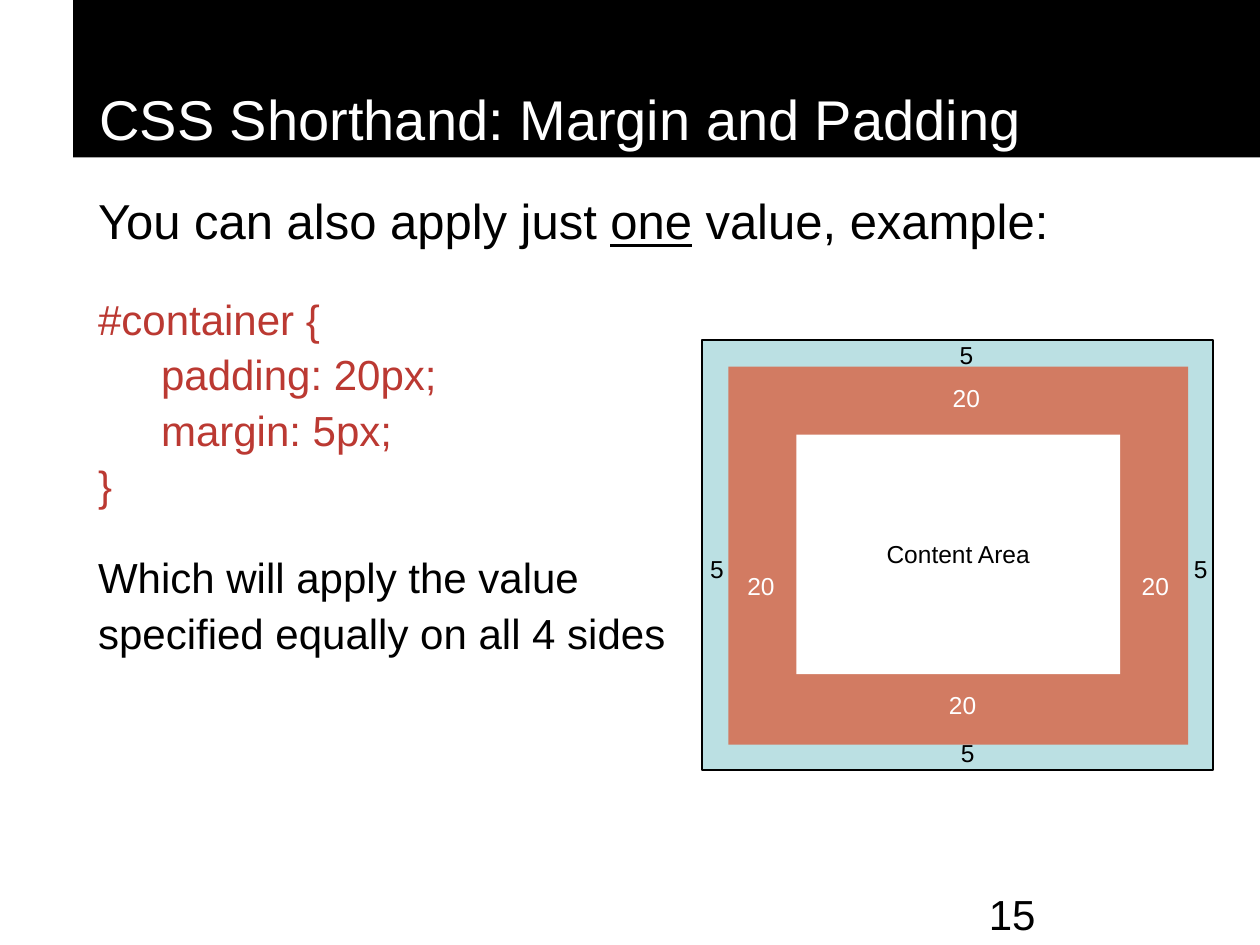
from lxml import etree
from pptx import Presentation
from pptx.dml.color import RGBColor
from pptx.enum.shapes import MSO_SHAPE
from pptx.enum.text import MSO_ANCHOR, PP_ALIGN
from pptx.oxml.ns import qn
from pptx.util import Inches, Pt

RECTANGLE = MSO_SHAPE.RECTANGLE
TOP, BOTTOM = MSO_ANCHOR.TOP, MSO_ANCHOR.BOTTOM
LEFT, CENTER = PP_ALIGN.LEFT, PP_ALIGN.CENTER

BLACK = RGBColor(0x00, 0x00, 0x00)
WHITE = RGBColor(0xFF, 0xFF, 0xFF)
CODE_RED = RGBColor(0xBB, 0x39, 0x32)
MARGIN_BLUE = RGBColor(0xBB, 0xE0, 0xE3)
PADDING_ORANGE = RGBColor(0xD2, 0x7B, 0x62)

# Content
TITLE = "CSS Shorthand: Margin and Padding"
PAGE_NUMBER = "15"
INTRO = [("You can also apply just ", False), ("one", True),
         (" value, example:", False)]
CODE = "#container {\n\tpadding: 20px;\n\tmargin: 5px;\n}"
RESULT = "Which will apply the value \nspecified equally on all 4 sides"

# Box model, outermost first: left, top, width, height, fill, outline
BOXES = [
    (5.57, 2.7, 4.06, 3.41, MARGIN_BLUE, BLACK),
    (5.78, 2.91, 3.65, 3, PADDING_ORANGE, None),
    (6.32, 3.45, 2.57, 1.9, WHITE, None),
]

# Side values: text, colour, left and top of each label
SIDE_VALUES = [
    ("5", BLACK, [(7.2, 2.65), (9.06, 4.35), (7.21, 5.81), (5.22, 4.35)]),
    ("20", WHITE, [(7.2, 2.99), (8.7, 4.48), (7.17, 5.43), (5.57, 4.48)]),
]
LABEL_WIDTH, LABEL_HEIGHT, LABEL_SIZE = 0.94, 0.34, 14


def add_text(frame, text, size, color, align=LEFT, indent=0, line_spacing=None,
             before=0, after=0, tab=None):
    """Add a paragraph; text is a string or a list of (string, underlined)."""
    first = frame.paragraphs[0]
    paragraph = frame.add_paragraph() if first.runs else first
    paragraph.alignment = align
    paragraph.line_spacing = line_spacing
    paragraph.space_before, paragraph.space_after = Pt(before), Pt(after)
    properties = paragraph._p.get_or_add_pPr()
    properties.set("marL", str(Inches(indent)))
    properties.set("indent", "0")
    if tab:
        tabs = etree.SubElement(properties, qn("a:tabLst"))
        etree.SubElement(tabs, qn("a:tab"), pos=str(Inches(tab)), algn="l")
    pieces = [(text, False)] if isinstance(text, str) else text
    for piece, underlined in pieces:
        for number, line in enumerate(piece.split("\n")):
            if number:
                paragraph.add_line_break()
            run = paragraph.add_run()
            run.text = line
            run.font.name, run.font.size = "Arial", Pt(size)
            run.font.color.rgb = color
            run.font.underline = underlined


def add_rectangle(slide, left, top, width, height, fill, outline=None):
    rectangle = slide.shapes.add_shape(
        RECTANGLE, Inches(left), Inches(top), Inches(width), Inches(height))
    rectangle.shadow.inherit = False
    rectangle.fill.solid()
    rectangle.fill.fore_color.rgb = fill
    if outline is None:
        rectangle.line.fill.background()
    else:
        rectangle.line.color.rgb = outline
        rectangle.line.width = Pt(1)
    return rectangle


def add_text_frame(slide, left, top, width, height):
    frame = slide.shapes.add_textbox(
        Inches(left), Inches(top), Inches(width), Inches(height)).text_frame
    frame.word_wrap = True
    frame.vertical_anchor = TOP
    return frame


def main():
    presentation = Presentation()
    presentation.slide_width, presentation.slide_height = Inches(10), Inches(7.5)
    slide = presentation.slides.add_slide(presentation.slide_layouts[6])

    # Title band
    title_frame = add_rectangle(slide, 0.58, 0, 9.42, 1.25, BLACK).text_frame
    title_frame.word_wrap = True
    title_frame.vertical_anchor = BOTTOM
    add_text(title_frame, TITLE, 32, WHITE, indent=0.11)

    # Explanation and code
    body = add_text_frame(slide, 0.58, 1.42, 9.08, 3.9)
    body_format = dict(indent=0.1, line_spacing=1.1, tab=1)
    add_text(body, INTRO, 28, BLACK, before=17.5, after=7, **body_format)
    for text, color in [(CODE, CODE_RED), (RESULT, BLACK)]:
        add_text(body, text, 24, color, before=15, after=6, **body_format)

    # Box model
    for box in BOXES:
        add_rectangle(slide, *box)
    content_label = add_text_frame(slide, 6.43, 4.23, 2.35, LABEL_HEIGHT)
    add_text(content_label, "Content Area", LABEL_SIZE, BLACK, align=CENTER)
    for value, color, places in SIDE_VALUES:
        for left, top in places:
            label = add_text_frame(slide, left, top, LABEL_WIDTH, LABEL_HEIGHT)
            add_text(label, value, LABEL_SIZE, color, align=CENTER)

    # Page number
    add_text(add_text_frame(slide, 7.75, 7, 2.08, 0.5), PAGE_NUMBER, 24, BLACK)

    presentation.save("out.pptx")


if __name__ == "__main__":
    main()
